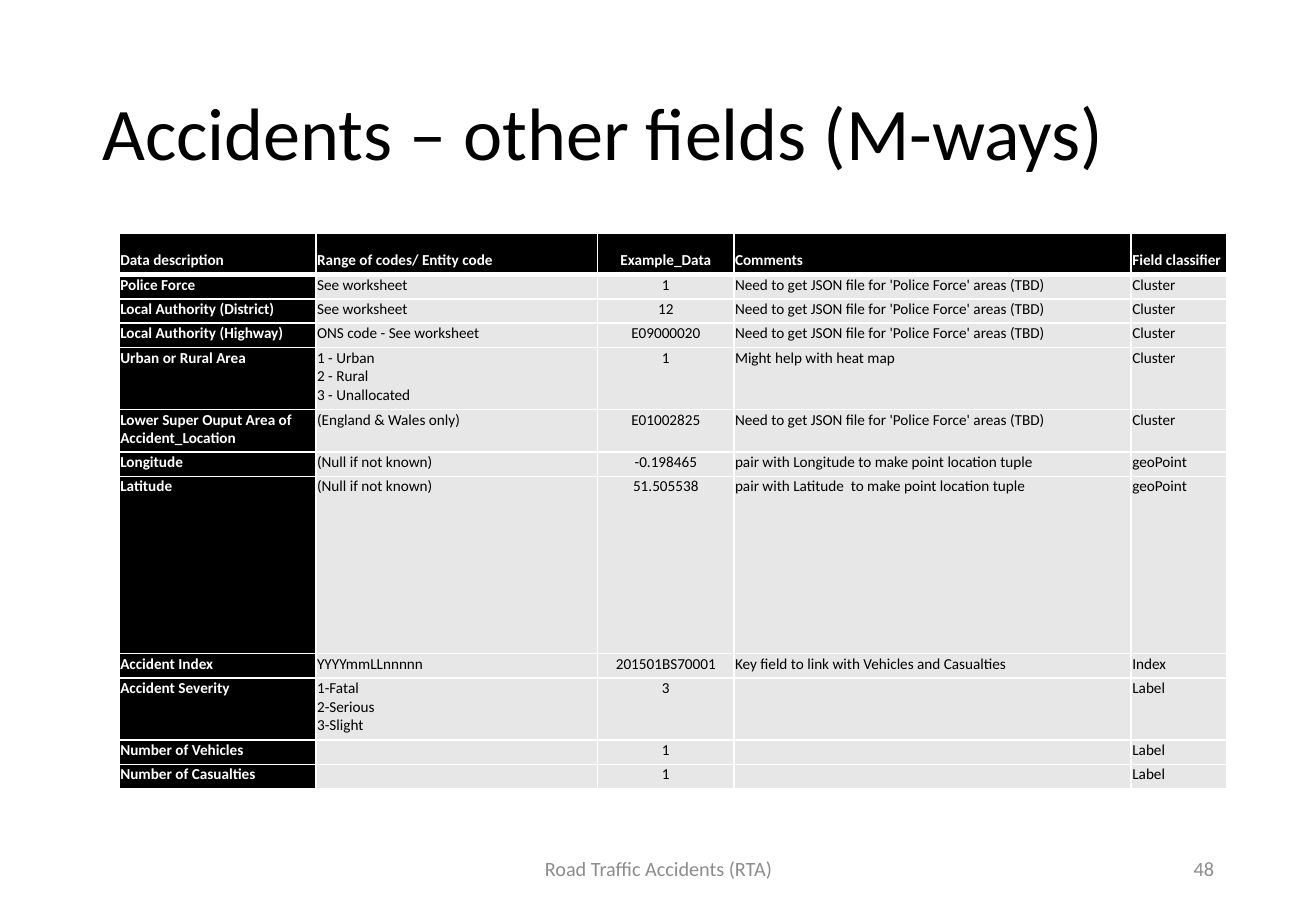
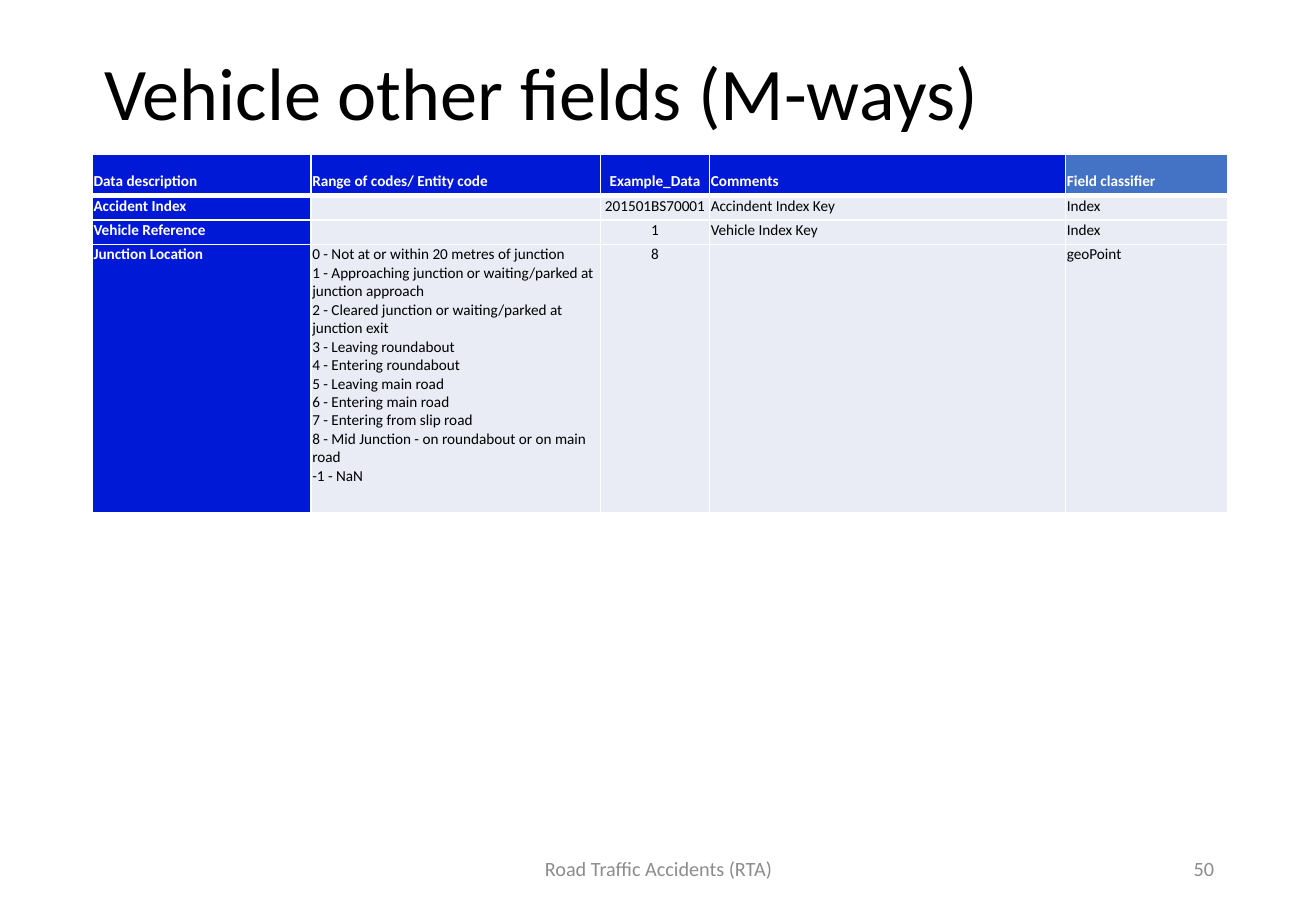
from lxml.etree import SubElement
from pptx import Presentation
from pptx.dml.color import RGBColor
from pptx.enum.text import MSO_ANCHOR as Anchor, MSO_AUTO_SIZE as AutoSize, PP_ALIGN as Align
from pptx.oxml.ns import qn
from pptx.util import Inches, Pt

# Shared look
FONT = "Calibri"
BLACK = RGBColor(0x00, 0x00, 0x00)
WHITE = RGBColor(0xFF, 0xFF, 0xFF)
FOOTER_GREY = RGBColor(0x8C, 0x8C, 0x8C)
LIGHT_GREY = RGBColor(0xE7, 0xE7, 0xE7)
ROYAL_BLUE = RGBColor(0x00, 0x19, 0xD6)
SOFT_BLUE = RGBColor(0x44, 0x72, 0xC4)
PALE_BLUE = RGBColor(0xE9, 0xEB, 0xF5)

TITLE_FORMAT = {"name": FONT, "size": Pt(44), "bold": False}
FOOTER_FORMAT = {"name": FONT, "size": Pt(12), "bold": False}
LABEL_FORMAT = {"name": FONT, "size": Pt(9), "bold": True}
VALUE_FORMAT = {"name": FONT, "size": Pt(9), "bold": False}
CELL_MARGINS = {"margin_left": Inches(0.01), "margin_top": Inches(0.01),
                "margin_right": Inches(0.01), "margin_bottom": Inches(0.04)}
TITLE_ONLY = 5
FOOTER = "Road Traffic Accidents (RTA)"
THIN, THICK = 1, 3
CENTRED_COLUMN = 2

# Table contents
HEADINGS = ("Data description", "Range of codes/ Entity code", "Example_Data",
            "Comments", "Field classifier")
POLICE_NOTE = "Need to get JSON file for 'Police Force' areas (TBD)"
ACCIDENT_ROWS = [
    HEADINGS,
    ("Police Force", "See worksheet", "1", POLICE_NOTE, "Cluster"),
    ("Local Authority (District)", "See worksheet", "12", POLICE_NOTE, "Cluster"),
    ("Local Authority (Highway)", "ONS code - See worksheet", "E09000020", POLICE_NOTE, "Cluster"),
    ("Urban or Rural Area", "1 - Urban\n2 - Rural\n3 - Unallocated", "1",
     "Might help with heat map", "Cluster"),
    ("Lower Super Ouput Area of Accident_Location", "(England & Wales only)", "E01002825",
     POLICE_NOTE, "Cluster"),
    ("Longitude", "(Null if not known)", "-0.198465",
     "pair with Longitude to make point location tuple", "geoPoint"),
    ("Latitude", "(Null if not known)", "51.505538",
     "pair with Latitude  to make point location tuple", "geoPoint"),
    ("Accident Index", "YYYYmmLLnnnnn", "201501BS70001",
     "Key field to link with Vehicles and Casualties", "Index"),
    ("Accident Severity", "1-Fatal\n2-Serious\n3-Slight", "3", "", "Label"),
    ("Number of Vehicles", "", "1", "", "Label"),
    ("Number of Casualties", "", "1", "", "Label"),
]
JUNCTION_CODES = "\n".join((
    "0 - Not at or within 20 metres of junction",
    "1 - Approaching junction or waiting/parked at junction approach",
    "2 - Cleared junction or waiting/parked at junction exit",
    "3 - Leaving roundabout",
    "4 - Entering roundabout",
    "5 - Leaving main road",
    "6 - Entering main road",
    "7 - Entering from slip road",
    "8 - Mid Junction - on roundabout or on main road",
    "-1 - NaN",
))
VEHICLE_ROWS = [
    HEADINGS,
    ("Accident Index", "", "201501BS70001", "Accindent Index Key", "Index"),
    ("Vehicle Reference", "", "1", "Vehicle Index Key", "Index"),
    ("Junction Location", JUNCTION_CODES, "8", "", "geoPoint"),
]


def apply(target, values):
    for name, value in values.items():
        setattr(target, name, value)


def write(para, text, values, color, align=Align.LEFT):
    para.alignment = align
    if not text:
        # An empty cell keeps the line height of its text size
        SubElement(para._p, qn("a:endParaRPr"), sz=str(int(values["size"].pt * 100)))
        return
    para.text = text
    for span in para.runs:
        apply(span.font, values)
        span.font.color.rgb = color


def add_border(cell, side, width):
    line = SubElement(cell._tc.get_or_add_tcPr(), qn(f"a:ln{side}"), w=str(Pt(width)))
    fill = SubElement(line, qn("a:solidFill"))
    SubElement(fill, qn("a:srgbClr"), val=str(WHITE))


def add_title(page, text, left, top):
    title = page.shapes.title
    apply(title, {"left": Inches(left), "top": Inches(top),
                  "width": Inches(9.34), "height": Inches(1.45)})
    apply(title.text_frame, {"auto_size": AutoSize.NONE, "word_wrap": True,
                             "vertical_anchor": Anchor.MIDDLE})
    para = title.text_frame.paragraphs[0]
    write(para, text, TITLE_FORMAT, BLACK)
    para.line_spacing = 0.9


def add_footer_text(page, text, left, width, align):
    box = page.shapes.add_textbox(Inches(left), Inches(6.95), Inches(width), Inches(0.4))
    apply(box.text_frame, {"word_wrap": True, "vertical_anchor": Anchor.MIDDLE})
    write(box.text_frame.paragraphs[0], text, FOOTER_FORMAT, FOOTER_GREY, align)


def format_cell(cell, text, row, column, fill):
    is_header = row == 0
    is_label = is_header or column == 0
    apply(cell, CELL_MARGINS)
    cell.vertical_anchor = Anchor.BOTTOM if is_header else Anchor.TOP
    borders = {"L": THIN, "R": THIN, "T": THICK if row == 1 else THIN,
               "B": THICK if is_header else THIN}
    for side, width in borders.items():
        add_border(cell, side, width)
    cell.fill.solid()
    cell.fill.fore_color.rgb = fill
    write(cell.text_frame.paragraphs[0], text,
          LABEL_FORMAT if is_label else VALUE_FORMAT,
          WHITE if is_label else BLACK,
          Align.CENTER if column == CENTRED_COLUMN else Align.LEFT)


def add_field_table(page, left, top, widths, heights, rows, label_fill, value_fill):
    frame = page.shapes.add_table(len(rows), len(widths), Inches(left), Inches(top),
                                  Inches(sum(widths)), Inches(sum(heights)))
    table = frame.table
    table.horz_banding = False
    for column, width in zip(table.columns, widths):
        column.width = Inches(width)
    for row, height in zip(table.rows, heights):
        row.height = Inches(height)
    for r, texts in enumerate(rows):
        for c, text in enumerate(texts):
            fill = label_fill if r == 0 or c == 0 else value_fill
            format_cell(table.cell(r, c), text, r, c, fill)
    return table


def add_page(deck, title, left, top, number):
    page = deck.slides.add_slide(deck.slide_layouts[TITLE_ONLY])
    add_title(page, title, left, top)
    add_footer_text(page, FOOTER, 3.59, 3.66, Align.CENTER)
    add_footer_text(page, number, 7.65, 2.44, Align.RIGHT)
    return page


def main():
    deck = Presentation()
    deck.slide_width, deck.slide_height = Inches(10.83), Inches(7.5)

    # Accident fields
    page = add_page(deck, "Accidents – other fields (M-ways)", 0.74, 0.4, "48")
    add_field_table(page, 0.98, 1.92, (1.62, 2.32, 1.12, 3.27, 0.79),
                    (0.34, 0.2, 0.2, 0.2, 0.51, 0.35, 0.2, 1.46, 0.2, 0.51, 0.2, 0.2),
                    ACCIDENT_ROWS, BLACK, LIGHT_GREY)

    # Vehicle fields
    page = add_page(deck, "Vehicle other fields (M-ways)", 0.76, 0.07, "50")
    table = add_field_table(page, 0.76, 1.27, (1.8, 2.38, 0.9, 2.93, 1.33),
                            (0.34, 0.2, 0.2, 2.21), VEHICLE_ROWS, ROYAL_BLUE, PALE_BLUE)
    table.cell(0, len(HEADINGS) - 1).fill.fore_color.rgb = SOFT_BLUE

    deck.save("out.pptx")


if __name__ == "__main__":
    main()
